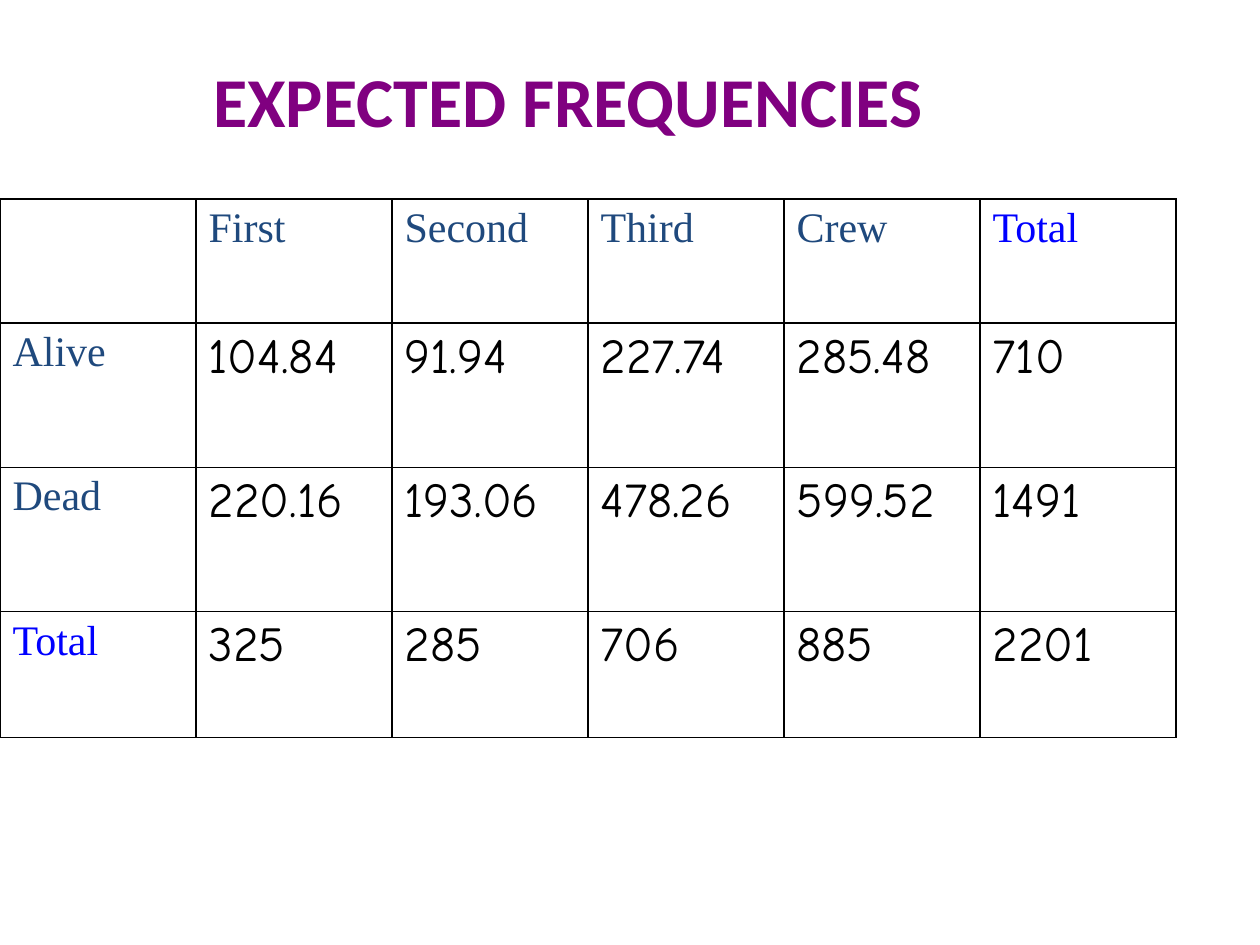
from lxml.etree import SubElement
from pptx import Presentation
from pptx.dml.color import RGBColor
from pptx.enum.text import MSO_ANCHOR, PP_ALIGN
from pptx.oxml.ns import qn
from pptx.util import Pt

BLACK, NAVY, BLUE, PURPLE = "000000", "1F497D", "0000FF", "800080"
FREQUENCIES = [
    ["", "First", "Second", "Third", "Crew", "Total"],
    ["Alive", "104.84", "91.94", "227.74", "285.48", "710"],
    ["Dead", "220.16", "193.06", "478.26", "599.52", "1491"],
    ["Total", "325", "285", "706", "885", "2201"],
]
COLUMN_WIDTH = 112
ROW_HEIGHTS = [70.8, 82.5, 82.3, 72]


def color(value):
    """Turn a hex string into a colour."""
    return RGBColor.from_string(value)


def add_run(paragraph, text, font_name, size, font_color, bold=False):
    """Add one formatted run to a paragraph."""
    run = paragraph.add_run()
    run.text = text
    run.font.name = font_name
    run.font.size = Pt(size)
    run.font.bold = bold
    run.font.color.rgb = color(font_color)


def add_title(slide, text):
    """Place and fill the title placeholder."""
    title = slide.shapes.title
    title.left, title.top, title.width, title.height = Pt(54), Pt(12), Pt(541), Pt(90)
    frame = title.text_frame
    frame.word_wrap = True
    frame.vertical_anchor = MSO_ANCHOR.MIDDLE
    paragraph = frame.paragraphs[0]
    paragraph.alignment = PP_ALIGN.CENTER
    add_run(paragraph, text, "Calibri", 40, PURPLE, bold=True)


def set_borders(cell, line_color, width):
    """Draw a solid line on all four sides of a cell."""
    properties = cell._tc.get_or_add_tcPr()
    for position, side in enumerate(("lnL", "lnR", "lnT", "lnB")):
        line = SubElement(properties, qn(f"a:{side}"), w=str(Pt(width)))
        properties.insert(position, line)
        fill = SubElement(line, qn("a:solidFill"))
        SubElement(fill, qn("a:srgbClr"), val=line_color)


def fill_cell(cell, text, is_header):
    """Format one cell and write its header or value."""
    cell.fill.background()
    set_borders(cell, BLACK, 1)
    if not text:
        return
    paragraph = cell.text_frame.paragraphs[0]
    properties = paragraph._p.get_or_add_pPr()
    properties.set("marL", str(Pt(27)))
    properties.set("indent", str(-Pt(27)))
    if is_header:
        add_run(paragraph, text, "Times New Roman", 24, BLUE if text == "Total" else NAVY)
    else:
        add_run(paragraph, text, "Comic Neue", 28, BLACK)


def add_frequency_table(slide, rows):
    """Add the table with headers in its first row and column."""
    column_count = len(rows[0])
    table = slide.shapes.add_table(
        len(rows), column_count, Pt(0), Pt(113.75),
        Pt(COLUMN_WIDTH * column_count), Pt(sum(ROW_HEIGHTS)),
    ).table
    for column in table.columns:
        column.width = Pt(COLUMN_WIDTH)
    for row_index, (values, height) in enumerate(zip(rows, ROW_HEIGHTS)):
        table.rows[row_index].height = Pt(height)
        for column_index, text in enumerate(values):
            is_header = row_index == 0 or column_index == 0
            fill_cell(table.cell(row_index, column_index), text, is_header)


def main():
    """Build and save the slide."""
    presentation = Presentation()
    presentation.slide_width, presentation.slide_height = Pt(720), Pt(540)
    slide = presentation.slides.add_slide(presentation.slide_layouts[5])
    add_frequency_table(slide, FREQUENCIES)
    add_title(slide, "EXPECTED FREQUENCIES")
    presentation.save("out.pptx")


if __name__ == "__main__":
    main()
